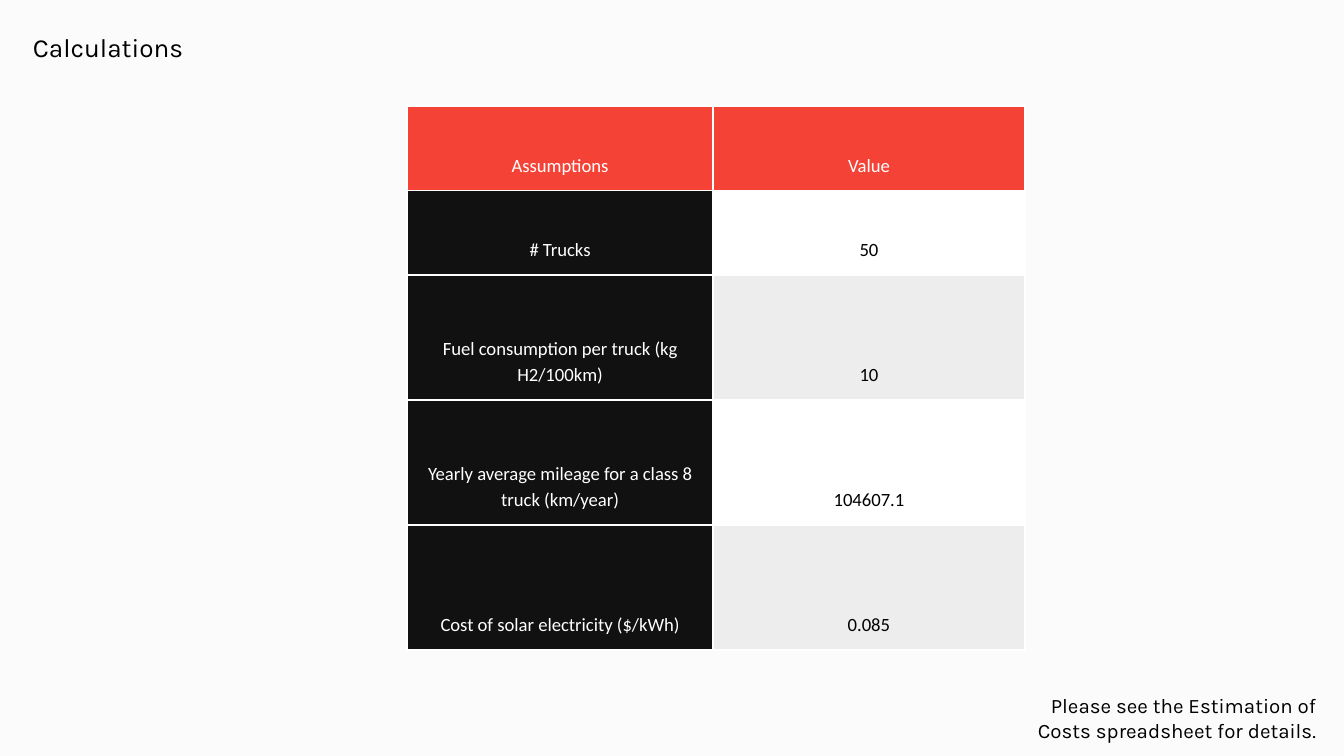
from pptx import Presentation
from pptx.dml.color import RGBColor
from pptx.enum.text import MSO_ANCHOR, MSO_AUTO_SIZE, PP_ALIGN
from pptx.util import Pt

LEFT, MID, RIGHT = PP_ALIGN.LEFT, PP_ALIGN.CENTER, PP_ALIGN.RIGHT
TOP, BOTTOM = MSO_ANCHOR.TOP, MSO_ANCHOR.BOTTOM
FIXED = MSO_AUTO_SIZE.NONE

PAPER = RGBColor(0xFB, 0xFB, 0xFB)
RED = RGBColor(0xF4, 0x43, 0x36)
INK = RGBColor(0x11, 0x11, 0x11)
GREY = RGBColor(0xED, 0xED, 0xED)
WHITE = RGBColor(0xFF, 0xFF, 0xFF)
BLACK = RGBColor(0x00, 0x00, 0x00)

HEAD = ("Assumptions", "Value")
ROWS = [
    ("# Trucks", "50"),
    ("Fuel consumption per truck (kg H2/100km)", "10"),
    ("Yearly average mileage for a class 8 truck (km/year)", "104607.1"),
    ("Cost of solar electricity ($/kWh)", "0.085"),
]
WIDTHS = (164, 167)
HEIGHTS = (45.3, 45.3, 67, 67, 67)


class Page:
    """Holds the style and the current slide."""

    font, grid_font, grid_size = "Karla", "Calibri", 10
    pad, side = 7.2, 2.25

    def __init__(self, deck):
        self.slide = deck.slides.add_slide(deck.slide_layouts[5])
        fill = self.slide.background.fill
        fill.solid()
        fill.fore_color.rgb = PAPER

    def add_text(self, frame, text, font, size, color, align):
        para = frame.paragraphs[0]
        para.alignment = align
        run = para.add_run()
        run.text = text
        run.font.name = font
        run.font.size = Pt(size)
        run.font.color.rgb = color
        return para

    def fit(self, shape, text, size, align):
        """Set the frame of a title or note and fill it."""
        frame = shape.text_frame
        frame.word_wrap = True
        frame.auto_size = FIXED
        frame.vertical_anchor = TOP
        frame.margin_left = frame.margin_right = Pt(self.pad)
        frame.margin_top = frame.margin_bottom = Pt(self.pad)
        self.add_text(frame, text, self.font, size, BLACK, align)

    def title(self, text, x, y, w, h, size):
        shape = self.slide.shapes.title
        shape.left, shape.top = Pt(x), Pt(y)
        shape.width, shape.height = Pt(w), Pt(h)
        self.fit(shape, text, size, LEFT)

    def note(self, text, x, y, w, h, size):
        box = self.slide.shapes.add_textbox(Pt(x), Pt(y), Pt(w), Pt(h))
        self.fit(box, text, size, RIGHT)

    def cell(self, cell, text, fill, color):
        cell.fill.solid()
        cell.fill.fore_color.rgb = fill
        cell.vertical_anchor = BOTTOM
        cell.margin_left = cell.margin_right = Pt(self.side)
        cell.margin_top = cell.margin_bottom = Pt(self.pad)
        para = self.add_text(cell.text_frame, text, self.grid_font,
                             self.grid_size, color, MID)
        para.line_spacing = 1.15

    def table(self, head, rows, x, y, widths, heights):
        """Red header, dark label column, banded values."""
        table = self.slide.shapes.add_table(
            len(heights), len(widths), Pt(x), Pt(y),
            Pt(sum(widths)), Pt(sum(heights))).table
        for col, width in zip(table.columns, widths):
            col.width = Pt(width)
        for row, height in zip(table.rows, heights):
            row.height = Pt(height)
        for c, text in enumerate(head):
            self.cell(table.cell(0, c), text, RED, WHITE)
        for r, (label, value) in enumerate(rows, 1):
            self.cell(table.cell(r, 0), label, INK, WHITE)
            band = WHITE if r % 2 else GREY
            self.cell(table.cell(r, 1), value, band, BLACK)


def main():
    deck = Presentation()
    deck.slide_width, deck.slide_height = Pt(720), Pt(405)
    page = Page(deck)
    page.table(HEAD, ROWS, 218, 56.8, WIDTHS, HEIGHTS)
    page.title("Calculations", 10.4, 9.4, 138, 19.4, 14)
    page.note("Please see the Estimation of Costs spreadsheet for details.",
              537, 364.3, 175.4, 19.4, 11)
    deck.save("out.pptx")


if __name__ == "__main__":
    main()
